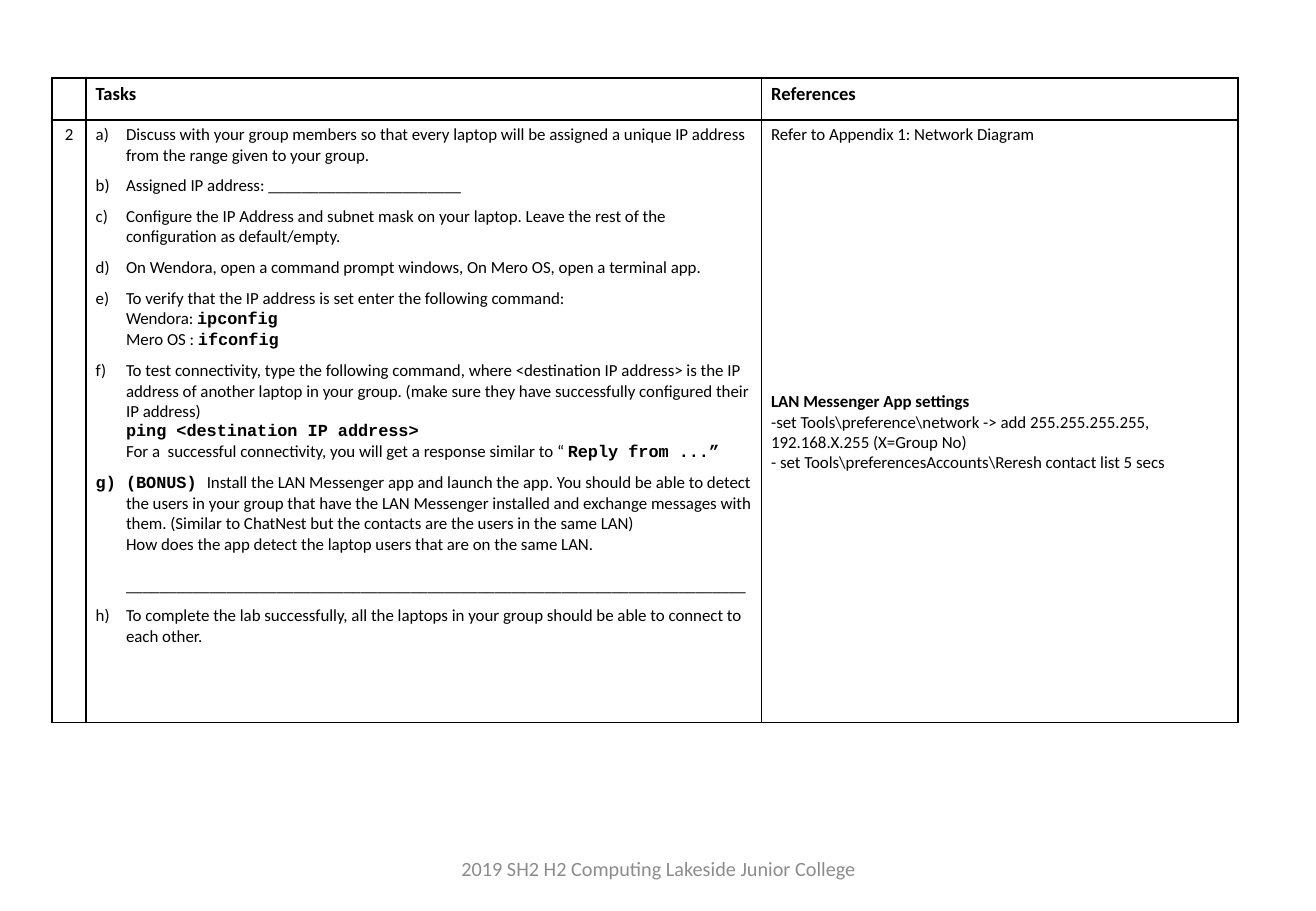
from dataclasses import dataclass
from lxml.etree import SubElement as Sub
from pptx import Presentation
from pptx.dml.color import RGBColor as Rgb
from pptx.enum.text import MSO_ANCHOR as Anchor, PP_ALIGN as Align
from pptx.oxml.ns import qn
from pptx.util import Cm, Pt


@dataclass(frozen=True)
class Theme:
    ink: str = "000000"
    paper: str = "FFFFFF"
    grey: str = "8C8C8C"
    sans: str = "Calibri"
    mono: str = "Courier New"
    head: int = 11
    body: int = 10
    foot: int = 12
    rule: int = 1


class Sheet:
    def __init__(self, look, wide, high):
        self.look = look
        self.deck = Presentation()
        self.deck.slide_width, self.deck.slide_height = Cm(wide), Cm(high)
        self.slide = self.deck.slides.add_slide(self.deck.slide_layouts[6])

    def put(self, para, parts, size, bold=False, color=None, form=None):
        """Fill a paragraph; a part is plain text or (text, is_code)."""
        for key, val in (form or {}).items():
            setattr(para, key, val)
        for part in [parts] if isinstance(parts, str) else parts:
            text, code = (part, False) if isinstance(part, str) else part
            face = {"name": self.look.mono if code else self.look.sans,
                    "size": Pt(size), "bold": bold or code}
            for i, line in enumerate(text.split("\n")):
                if i:
                    para.add_line_break()
                if line:
                    run = para.add_run()
                    run.text = line
                    for key, val in face.items():
                        setattr(run.font, key, val)
                    run.font.color.rgb = Rgb.from_string(color or self.look.ink)

    def hang(self, para, start=1, mark=True):
        """Give a paragraph a hanging indent and, if wanted, a letter."""
        props = para._p.get_or_add_pPr()
        props.set("marL", str(Cm(0.635)))
        props.set("indent", str(Cm(-0.635) if mark else 0))
        if mark:
            num = Sub(props, qn("a:buAutoNum"), type="alphaLcParenR")
            if start > 1:
                num.set("startAt", str(start))

    def cell(self, cell):
        """Set margins, borders and fill."""
        form = {"margin_left": Cm(0.2), "margin_right": Cm(0.2),
                "margin_top": Cm(0.1), "margin_bottom": Cm(0.1)}
        for key, val in form.items():
            setattr(cell, key, val)
        props = cell._tc.get_or_add_tcPr()
        for side in ("lnL", "lnR", "lnT", "lnB"):
            line = Sub(props, qn(f"a:{side}"), w=str(Pt(self.look.rule)))
            Sub(Sub(line, qn("a:solidFill")), qn("a:srgbClr"), val=self.look.ink)
        cell.fill.solid()
        cell.fill.fore_color.rgb = Rgb.from_string(self.look.paper)

    def table(self, left, top, cols, rows):
        grid = self.slide.shapes.add_table(
            len(rows), len(cols), Cm(left), Cm(top),
            Cm(sum(cols)), Cm(sum(rows))).table
        grid.first_row = grid.horz_banding = False
        for col, wide in zip(grid.columns, cols):
            col.width = Cm(wide)
        for row, high in zip(grid.rows, rows):
            row.height = Cm(high)
        for cell in grid.iter_cells():
            self.cell(cell)
        return grid

    def label(self, text, left, top, wide, high, size, color):
        box = self.slide.shapes.add_textbox(Cm(left), Cm(top), Cm(wide), Cm(high))
        frame = box.text_frame
        frame.word_wrap = True
        frame.vertical_anchor = Anchor.MIDDLE
        self.put(frame.paragraphs[0], text, size, color=color,
                 form={"alignment": Align.CENTER})


STEPS = [
    "Discuss with your group members so that every laptop will be assigned a "
    "unique IP address from the range given to your group.",
    "Assigned IP address: " + "_" * 23,
    "Configure the IP Address and subnet mask on your laptop. Leave the rest "
    "of the configuration as default/empty.",
    "On Wendora, open a command prompt windows, On Mero OS, open a terminal app.",
    ["To verify that the IP address is set enter the following command:\nWendora: ",
     ("ipconfig\n", True), "Mero OS : ", ("ifconfig", True)],
    ["To test connectivity, type the following command, where <destination IP "
     "address> is the IP address of another laptop in your group. (make sure "
     "they have successfully configured their IP address)\n",
     ("ping <destination IP address>\n", True),
     "For a  successful connectivity, you will get a response similar to “ ",
     ("Reply from ...”", True)],
    [("(BONUS) ", True),
     "Install the LAN Messenger app and launch the app. You should be able to "
     "detect the users in your group that have the LAN Messenger installed and "
     "exchange messages with them. (Similar to ChatNest but the contacts are "
     "the users in the same LAN)\n"
     "How does the app detect the laptop users that are on the same LAN."],
    "_" * 74,
    "To complete the lab successfully, all the laptops in your group should be "
    "able to connect to each other.",
]
BLANK = 7  # place of the answer line among the steps

# Text, bold, space before
NOTES = [
    ("Refer to Appendix 1: Network Diagram", False, 0),
    ("LAN Messenger App settings", True, 146),
    ("-set Tools\\preference\\network -> add 255.255.255.255, "
     "192.168.X.255 (X=Group No)", False, 0),
    ("- set Tools\\preferencesAccounts\\Reresh contact list 5 secs", False, 0),
]


def main():
    look = Theme()
    sheet = Sheet(look, 27.51, 19.05)
    grid = sheet.table(1.09, 1.63, [0.71, 14.12, 9.96], [0.88, 12.6])

    # Header row
    for col, text in enumerate(["", "Tasks", "References"]):
        para = grid.cell(0, col).text_frame.paragraphs[0]
        sheet.put(para, text, look.head, bold=True)
    blank = grid.cell(0, 0).text_frame.paragraphs[0]
    Sub(blank._p, qn("a:endParaRPr"), sz=str(look.head * 100))

    # Task number
    sheet.put(grid.cell(1, 0).text_frame.paragraphs[0], "2", look.body,
              form={"alignment": Align.CENTER})

    # Lettered steps
    frame = grid.cell(1, 1).text_frame
    for i, step in enumerate(STEPS):
        para = frame.add_paragraph() if i else frame.paragraphs[0]
        line = i == BLANK
        sheet.put(para, step, look.body, form={
            "space_before": Pt(6 if line else 0), "space_after": Pt(6)})
        sheet.hang(para, start=i if i > BLANK else 1, mark=not line)

    # References
    frame = grid.cell(1, 2).text_frame
    for i, (text, bold, gap) in enumerate(NOTES):
        para = frame.add_paragraph() if i else frame.paragraphs[0]
        sheet.put(para, text, look.body, bold, form={"space_before": Pt(gap)})

    # Footer
    sheet.label("2019 SH2 H2 Computing Lakeside Junior College",
                9.12, 17.65, 9.3, 1.02, look.foot, look.grey)
    sheet.deck.save("out.pptx")


if __name__ == "__main__":
    main()
